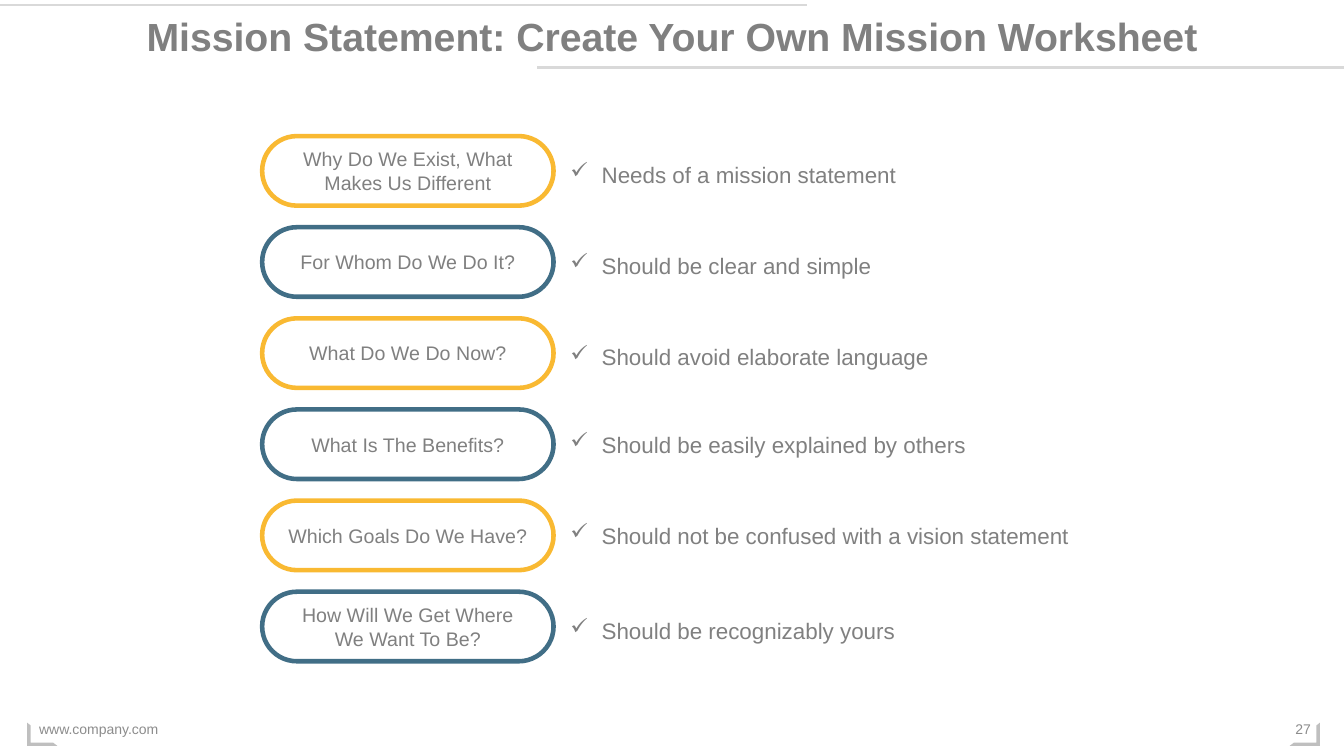
import lxml.etree
import pptx
import pptx.dml.color
import pptx.enum.shapes
import pptx.enum.text
import pptx.oxml.ns
import pptx.util
from pptx.util import Inches

ALIGN = pptx.enum.text.PP_ALIGN
ANCHOR = pptx.enum.text.MSO_ANCHOR
SHAPE = pptx.enum.shapes.MSO_SHAPE
GREY = "808080"
FOOTER_GREY = "8C8C8C"
YELLOW = "F9B932"
BLUE = "416E86"

# Question in the pill, advice beside it, top of the advice in inches
ROWS = [
    ("Why Do We Exist, What Makes Us Different", "Needs of a mission statement", 1.55),
    ("For Whom Do We Do It?", "Should be clear and simple", 2.45),
    ("What Do We Do Now?", "Should avoid elaborate language", 3.36),
    ("What Is The Benefits?", "Should be easily explained by others", 4.23),
    ("Which Goals Do We Have?", "Should not be confused with a vision statement", 5.13),
    ("How Will We Get Where We Want To Be?", "Should be recognizably yours", 6.07),
]
PILL_TOP = 1.35
PILL_PITCH = 0.904


def color(hex_string):
    return pptx.dml.color.RGBColor.from_string(hex_string)


def write(frame, text, size, hex_string=GREY, align=ALIGN.LEFT, bold=False):
    para = frame.paragraphs[0]
    para.text = text
    para.alignment = align
    para.font.name = "Arial"
    para.font.size = pptx.util.Pt(size)
    para.font.bold = bold
    para.font.color.rgb = color(hex_string)


def add_text(slide, left, top, width, height, text, size, anchor=ANCHOR.TOP, **style):
    box = slide.shapes.add_textbox(Inches(left), Inches(top), Inches(width), Inches(height))
    box.text_frame.word_wrap = True
    box.text_frame.vertical_anchor = anchor
    write(box.text_frame, text, size, **style)
    return box


def add_rule(slide, left, right, top):
    rule = slide.shapes.add_connector(
        pptx.enum.shapes.MSO_CONNECTOR.STRAIGHT,
        Inches(left), Inches(top), Inches(right), Inches(top))
    rule.line.color.rgb = color("D9D9D9")
    rule.line.width = pptx.util.Pt(1.5)
    lxml.etree.SubElement(rule._element.spPr, pptx.oxml.ns.qn("a:effectLst"))


def add_corner(slide, left, flipped=False):
    corner = slide.shapes.add_shape(
        SHAPE.HALF_FRAME, Inches(left), Inches(7.17), Inches(0.3), Inches(0.23))
    corner.shadow.inherit = False
    corner.adjustments[0] = 0.14
    corner.adjustments[1] = 0.15
    corner.fill.solid()
    corner.fill.fore_color.rgb = color("BFBFBF")
    corner.line.fill.background()
    corner.rotation = 180
    if flipped:
        corner._element.spPr.find(pptx.oxml.ns.qn("a:xfrm")).set("flipH", "1")


def add_pill(slide, top, text, outline):
    pill = slide.shapes.add_shape(
        SHAPE.ROUNDED_RECTANGLE, Inches(2.6), Inches(top), Inches(2.89), Inches(0.69))
    pill.shadow.inherit = False
    pill.adjustments[0] = 0.5
    pill.fill.solid()
    pill.fill.fore_color.rgb = color("FFFFFF")
    pill.line.color.rgb = color(outline)
    pill.line.width = pptx.util.Pt(3.25)
    frame = pill.text_frame
    frame.word_wrap = True
    frame.vertical_anchor = ANCHOR.MIDDLE
    frame.margin_left = frame.margin_right = Inches(0.14)
    frame.margin_top = frame.margin_bottom = 0
    write(frame, text, 14, align=ALIGN.CENTER)


def add_check_item(slide, top, text):
    box = add_text(slide, 5.56, top, 5.17, 0.37, text, 16)
    properties = box.text_frame.paragraphs[0]._p.get_or_add_pPr()
    properties.set("marL", str(Inches(0.31)))
    properties.set("indent", str(-Inches(0.31)))
    bullet = lxml.etree.Element(pptx.oxml.ns.qn("a:buChar"), char="✓")
    properties.insert(0, bullet)


def main():
    deck = pptx.Presentation()
    deck.slide_width = Inches(13.33)
    deck.slide_height = Inches(7.5)
    slide = deck.slides.add_slide(deck.slide_layouts[6])

    add_rule(slide, 0, 8, 0.05)
    add_rule(slide, 5.33, 13.33, 0.67)
    add_text(slide, 0, 0.07, 13.33, 0.57,
             "Mission Statement: Create Your Own Mission Worksheet", 28,
             align=ALIGN.CENTER, bold=True)

    for index, (question, advice, advice_top) in enumerate(ROWS):
        outline = BLUE if index % 2 else YELLOW
        add_pill(slide, PILL_TOP + index * PILL_PITCH, question, outline)
        add_check_item(slide, advice_top, advice)

    add_corner(slide, 12.79)
    add_corner(slide, 0.27, flipped=True)
    add_text(slide, 0.29, 7.03, 4.5, 0.4, "www.company.com", 10,
             anchor=ANCHOR.MIDDLE, hex_string=FOOTER_GREY)
    add_text(slide, 12.68, 7.03, 0.42, 0.4, "27", 10,
             anchor=ANCHOR.MIDDLE, hex_string=FOOTER_GREY, align=ALIGN.RIGHT)

    deck.save("out.pptx")


if __name__ == "__main__":
    main()
